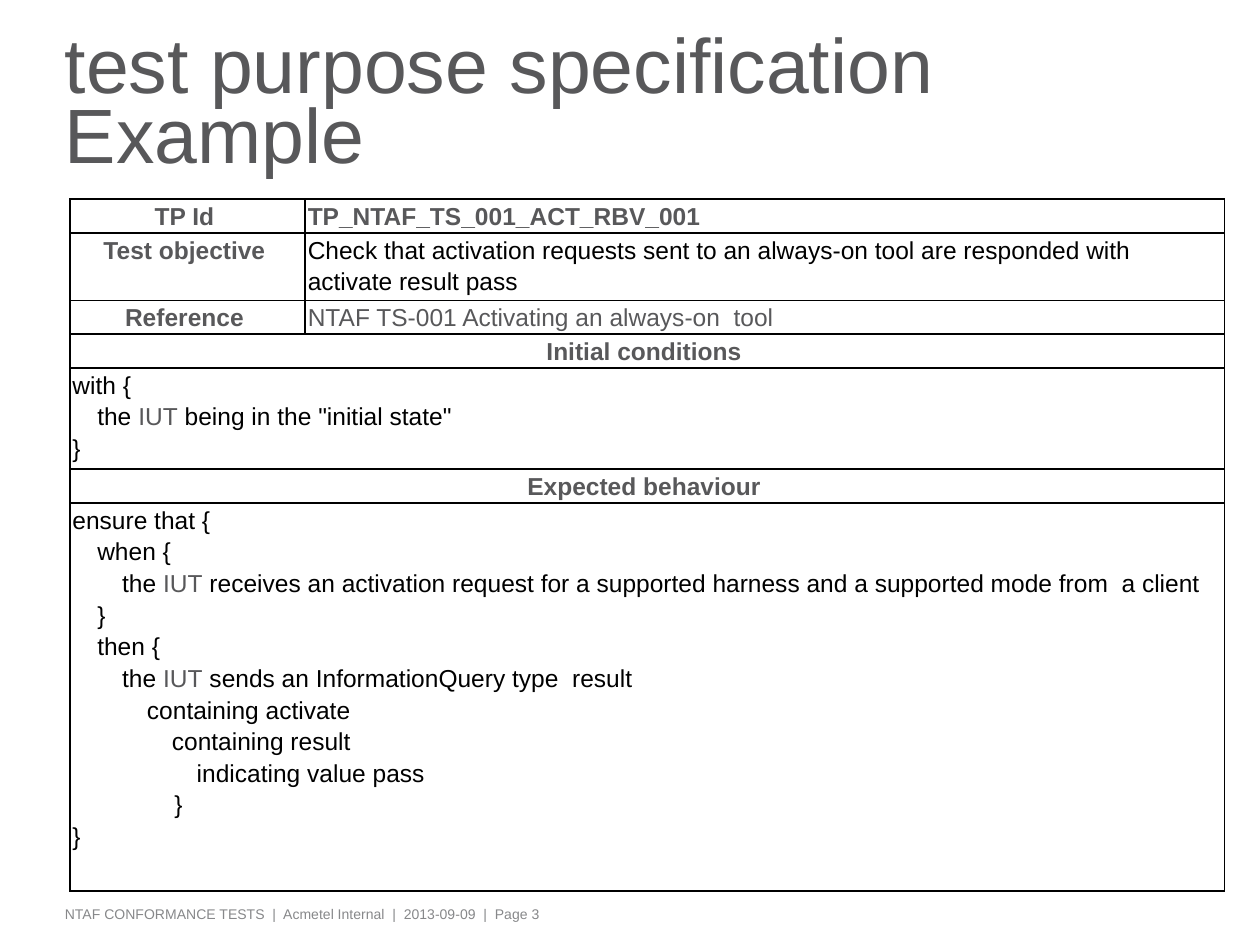
import pptx
import pptx.util
import pptx.dml.color
import pptx.enum.text
import pptx.oxml
import pptx.oxml.ns

Pt = pptx.util.Pt
RGB = pptx.dml.color.RGBColor
ALIGN = pptx.enum.text.PP_ALIGN
ANCHOR = pptx.enum.text.MSO_ANCHOR

GREY = RGB(0x58, 0x58, 0x5A)
PALE = RGB(0x87, 0x88, 0x8A)
BLACK = RGB(0, 0, 0)
STEP = 14.2  # one level of code indent

HEADS = [
    ("TP Id", [("TP_NTAF_TS_001_ACT_RBV_001", GREY, True)]),
    ("Test objective", [("Check that activation requests sent to an always-on tool "
                         "are responded with activate result pass", BLACK, False)]),
    ("Reference", [("NTAF TS-001 Activating an always-on  tool", GREY, False)]),
]
# Each code line is its indent level and its text.
BLOCKS = [
    ("Initial conditions", [
        (0, "with {"),
        (1, "the IUT being in the \"initial state\""),
        (0, "}"),
    ]),
    ("Expected behaviour", [
        (0, "ensure that {"),
        (1, "when {"),
        (2, "the IUT receives an activation request for a supported harness "
            "and a supported mode from  a client"),
        (1, "}"),
        (1, "then {"),
        (2, "the IUT sends an InformationQuery type  result"),
        (3, "containing activate"),
        (4, "containing result"),
        (5, "indicating value pass"),
        (4.1, "}"),
        (0, "}"),
    ]),
]


class Deck:
    def __init__(self, wide, high, font):
        self.prs = pptx.Presentation()
        self.prs.slide_width, self.prs.slide_height = Pt(wide), Pt(high)
        self.slide = self.prs.slides.add_slide(self.prs.slide_layouts[5])
        self.font = font

    def run(self, para, text, size, color, bold=False):
        run = para.add_run()
        run.text = text
        run.font.name = self.font
        run.font.size = Pt(size)
        run.font.bold = bold
        run.font.color.rgb = color

    def frame(self, frame, pads, anchor):
        frame.word_wrap = True
        frame.auto_size = pptx.enum.text.MSO_AUTO_SIZE.NONE
        frame.vertical_anchor = anchor
        (frame.margin_left, frame.margin_top,
         frame.margin_right, frame.margin_bottom) = map(Pt, pads)
        return frame.paragraphs[0]

    def title(self, text, left, top, width, height):
        shape = self.slide.shapes.title
        shape.left, shape.top = Pt(left), Pt(top)
        shape.width, shape.height = Pt(width), Pt(height)
        para = self.frame(shape.text_frame, (6, 0, 6, 0), ANCHOR.MIDDLE)
        para.alignment = ALIGN.LEFT
        para.line_spacing = 0.75
        self.run(para, text, 44, GREY)

    def note(self, text, left, top, width, height):
        box = self.slide.shapes.add_textbox(Pt(left), Pt(top), Pt(width), Pt(height))
        para = self.frame(box.text_frame, (6, 3.6, 6, 3.6), ANCHOR.TOP)
        self.run(para, text, 8, PALE)

    def table(self, left, top, cols, rows):
        shape = self.slide.shapes.add_table(
            len(rows), len(cols), Pt(left), Pt(top), Pt(sum(cols)), Pt(sum(rows)))
        table = shape.table
        table.first_row = table.horz_banding = False
        for col, width in zip(table.columns, cols):
            col.width = Pt(width)
        for row, height in zip(table.rows, rows):
            row.height = Pt(height)
        for cell in table.iter_cells():
            cell.fill.background()
            cell.margin_left, cell.margin_right = Pt(1.5), Pt(5)
            cell.margin_top = cell.margin_bottom = 0
            self.edge(cell)
        return table

    def edge(self, cell):
        """Draw a thin black border on all four sides."""
        props = cell._tc.get_or_add_tcPr()
        for spot, side in enumerate(("lnL", "lnR", "lnT", "lnB")):
            line = pptx.oxml.parse_xml(
                f'<a:{side} {pptx.oxml.ns.nsdecls("a")} w="{Pt(1)}"><a:solidFill>'
                f'<a:srgbClr val="{BLACK}"/></a:solidFill></a:{side}>')
            props.insert(spot, line)

    def line(self, para, runs, align=ALIGN.LEFT, level=0):
        para.alignment = align
        para.line_spacing = 1.15
        para._p.get_or_add_pPr().set("marL", str(Pt(level * STEP)))
        for text, color, bold in runs:
            self.run(para, text, 14, color, bold)

    def head(self, cell, text):
        self.line(cell.text_frame.paragraphs[0], [(text, GREY, True)], ALIGN.CENTER)

    def code(self, cell, lines):
        """Write indented lines, with the term IUT in grey."""
        frame = cell.text_frame
        for spot, (level, text) in enumerate(lines):
            para = frame.add_paragraph() if spot else frame.paragraphs[0]
            start, term, rest = text.partition("IUT")
            parts = [(start, BLACK, False), (term, GREY, False), (rest, BLACK, False)]
            self.line(para, [part for part in parts if part[0]], level=level)


def main():
    deck = Deck(720, 540, "Arial")
    deck.note("NTAF CONFORMANCE TESTS  |  Acmetel Internal  |  2013-09-09  |  Page 3",
              31, 514, 582.5, 17.3)
    deck.title("test purpose specification Example", 31, 18.7, 634.3, 85.7)
    table = deck.table(39.9, 113.8, [134.5, 525.3],
                       [19.3, 38.6, 19.3, 19.3, 57.8, 19.3, 222])
    for row, (label, runs) in enumerate(HEADS):
        deck.head(table.cell(row, 0), label)
        deck.line(table.cell(row, 1).text_frame.paragraphs[0], runs)
    for row in range(len(HEADS), len(table.rows)):
        table.cell(row, 0).merge(table.cell(row, 1))
    for spot, (label, lines) in enumerate(BLOCKS):
        row = len(HEADS) + 2 * spot
        deck.head(table.cell(row, 0), label)
        deck.code(table.cell(row + 1, 0), lines)
    deck.prs.save("out.pptx")


if __name__ == "__main__":
    main()
